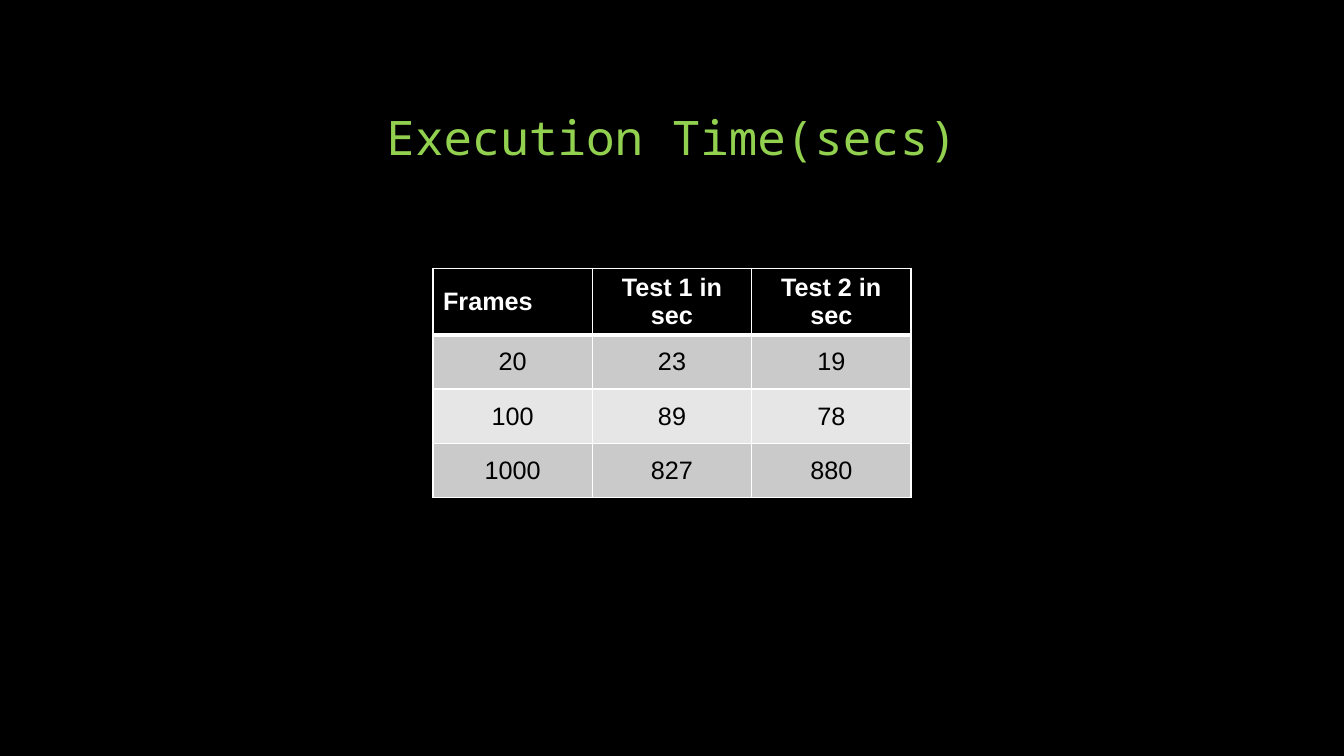
import dataclasses

import lxml.etree
import pptx
import pptx.dml.color
import pptx.enum.text
import pptx.oxml.ns
import pptx.presentation
import pptx.slide
import pptx.table
import pptx.text.text
import pptx.util

TITLE_ONLY_LAYOUT = 5


@dataclasses.dataclass(frozen=True)
class Theme:
    background: str = "000000"
    title: str = "92D050"
    header_text: str = "FFFFFF"
    body_text: str = "000000"
    border: str = "FFFFFF"
    header_fill: str = "000000"
    band_fills: tuple[str, str] = ("CACACA", "E6E6E6")
    title_font: str = "Noto Sans Mono"
    table_font: str = "Arial"
    title_size: int = 34
    table_size: int = 18
    thin_line: int = 1
    header_line: int = 3


@dataclasses.dataclass(frozen=True)
class Timing:
    frames: str
    first_test: str
    second_test: str


THEME = Theme()
TIMINGS = (
    Timing("Frames", "Test 1 in sec", "Test 2 in sec"),
    Timing("20", "23", "19"),
    Timing("100", "89", "78"),
    Timing("1000", "827", "880"),
)
SLIDE_WIDTH = pptx.util.Inches(13.33)
SLIDE_HEIGHT = pptx.util.Inches(7.5)
COLUMN_WIDTH = pptx.util.Inches(1.58)
ROW_HEIGHT = pptx.util.Inches(0.54)


def rgb(color: str) -> pptx.dml.color.RGBColor:
    return pptx.dml.color.RGBColor.from_string(color)


def style_paragraph(
    paragraph: pptx.text.text._Paragraph, font: str, size: int, color: str, bold: bool = False
) -> None:
    paragraph.alignment = pptx.enum.text.PP_ALIGN.CENTER
    paragraph.font.name = font
    paragraph.font.size = pptx.util.Pt(size)
    paragraph.font.bold = bold
    paragraph.font.color.rgb = rgb(color)


def add_title(slide: pptx.slide.Slide, text: str) -> None:
    title = slide.shapes.title
    title.width, title.height = int(SLIDE_WIDTH * 0.75), int(SLIDE_HEIGHT / 6)
    title.left, title.top = (SLIDE_WIDTH - title.width) // 2, pptx.util.Inches(0.44)
    title.text_frame.text = text
    title.text_frame.vertical_anchor = pptx.enum.text.MSO_ANCHOR.BOTTOM
    paragraph = title.text_frame.paragraphs[0]
    paragraph.line_spacing = 0.9
    style_paragraph(paragraph, THEME.title_font, THEME.title_size, THEME.title)


def set_borders(cell: pptx.table._Cell, top: int, bottom: int) -> None:
    """Put the four edge lines ahead of the cell's fill, as the schema requires."""
    properties = cell._tc.get_or_add_tcPr()
    widths = {"lnL": THEME.thin_line, "lnR": THEME.thin_line, "lnT": top, "lnB": bottom}
    for position, (edge, width) in enumerate(widths.items()):
        line = lxml.etree.Element(pptx.oxml.ns.qn(f"a:{edge}"), w=str(pptx.util.Pt(width)))
        fill = lxml.etree.SubElement(line, pptx.oxml.ns.qn("a:solidFill"))
        lxml.etree.SubElement(fill, pptx.oxml.ns.qn("a:srgbClr"), val=THEME.border)
        properties.insert(position, line)


def fill_cell(cell: pptx.table._Cell, text: str, row: int) -> None:
    is_header = row == 0
    cell.text = text
    cell.vertical_anchor = pptx.enum.text.MSO_ANCHOR.MIDDLE
    cell.fill.solid()
    cell.fill.fore_color.rgb = rgb(
        THEME.header_fill if is_header else THEME.band_fills[(row - 1) % 2]
    )
    style_paragraph(
        cell.text_frame.paragraphs[0],
        THEME.table_font,
        THEME.table_size,
        THEME.header_text if is_header else THEME.body_text,
        bold=is_header,
    )
    set_borders(
        cell,
        top=THEME.header_line if row == 1 else THEME.thin_line,
        bottom=THEME.header_line if is_header else THEME.thin_line,
    )


def add_timing_table(slide: pptx.slide.Slide, timings: tuple[Timing, ...]) -> None:
    columns = len(dataclasses.fields(Timing))
    width = COLUMN_WIDTH * columns
    table = slide.shapes.add_table(
        len(timings), columns, (SLIDE_WIDTH - width) // 2, pptx.util.Inches(2.66),
        width, ROW_HEIGHT * len(timings),
    ).table
    for row, timing in enumerate(timings):
        for column, text in enumerate(dataclasses.astuple(timing)):
            fill_cell(table.cell(row, column), text, row)
    frames_heading = table.cell(0, 0).text_frame.paragraphs[0]
    frames_heading.alignment = pptx.enum.text.PP_ALIGN.LEFT


def build_presentation() -> pptx.presentation.Presentation:
    presentation = pptx.Presentation()
    presentation.slide_width, presentation.slide_height = SLIDE_WIDTH, SLIDE_HEIGHT
    slide = presentation.slides.add_slide(presentation.slide_layouts[TITLE_ONLY_LAYOUT])
    slide.background.fill.solid()
    slide.background.fill.fore_color.rgb = rgb(THEME.background)
    add_title(slide, "Execution Time(secs)")
    add_timing_table(slide, TIMINGS)
    return presentation


if __name__ == "__main__":
    build_presentation().save("out.pptx")
